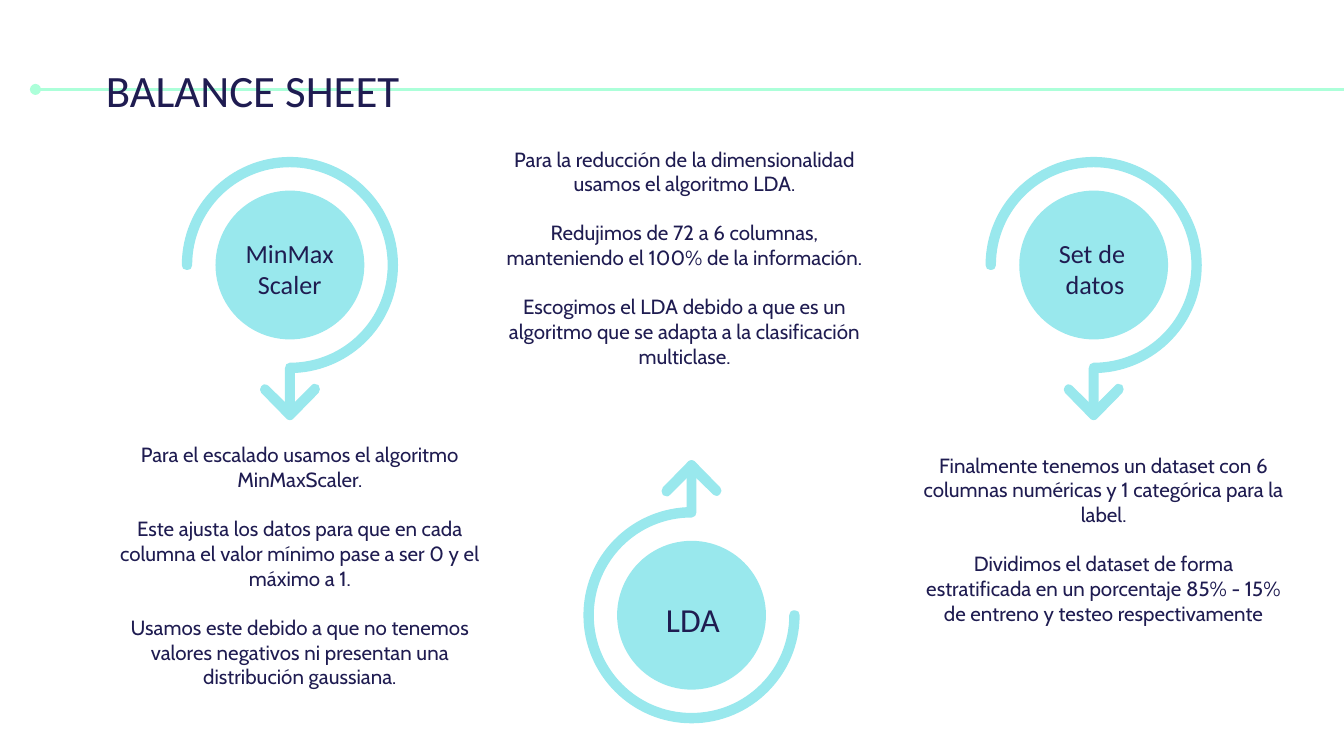
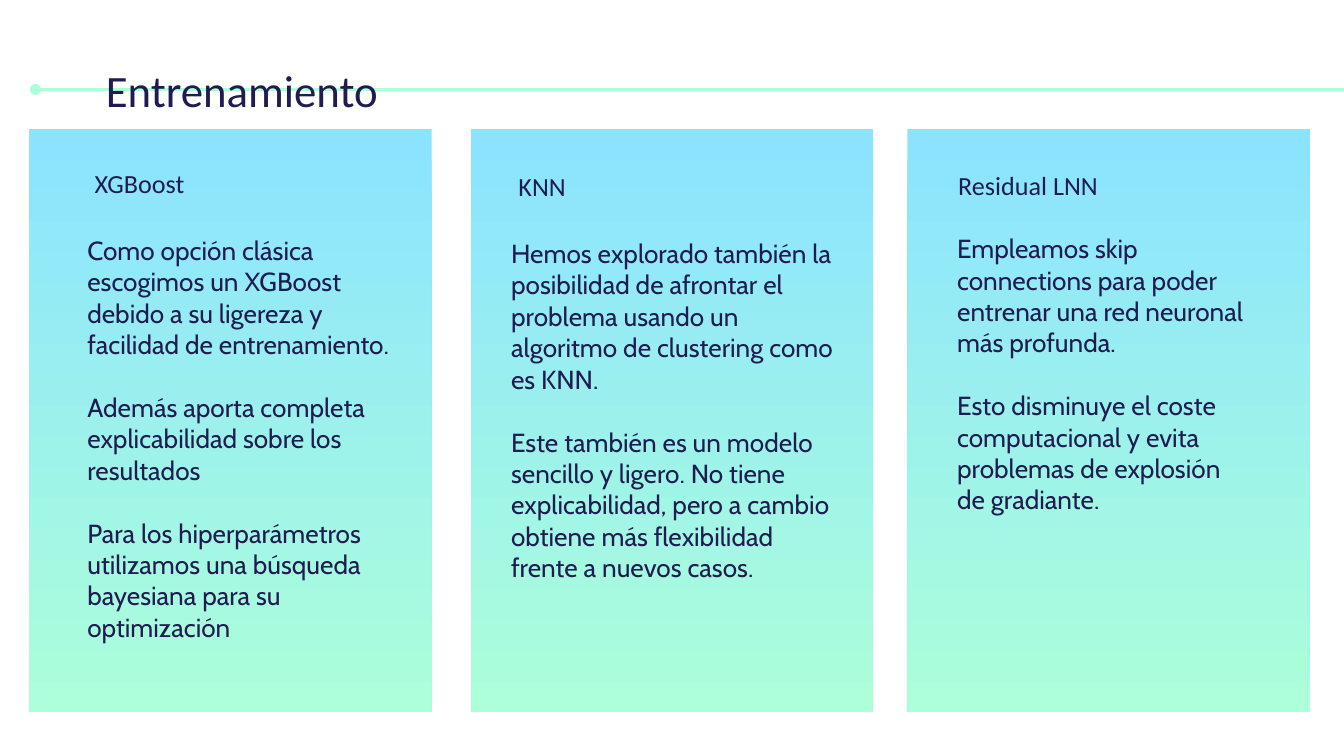
from dataclasses import dataclass

from lxml.etree import SubElement
from pptx import Presentation
from pptx.dml.color import RGBColor as RGB
from pptx.enum.shapes import MSO_CONNECTOR as CONNECTOR, MSO_SHAPE as SHAPE
from pptx.enum.text import MSO_ANCHOR as ANCHOR, MSO_AUTO_SIZE as AUTOSIZE, PP_ALIGN as ALIGN
from pptx.oxml.ns import qn
from pptx.util import Cm, Pt


@dataclass(frozen=True)
class Theme:
    ink: RGB = RGB.from_string("1F1C51")
    mint: RGB = RGB.from_string("ACFFD9")
    sky: RGB = RGB.from_string("8BE3FF")
    aqua: RGB = RGB.from_string("99E8ED")
    head_font: str = "Calibri"
    body_font: str = "Cabin"
    title: int = 24
    large: int = 18
    text: int = 14
    small: int = 11


T = Theme()
INSET = Cm(0.25)
INDENT = Cm(0.38)


def write(s, paras, box, *, sp=None, size=T.text, font=T.head_font,
          align=ALIGN.LEFT, gap=0, indent=0):
    """Fill sp, or a new text box, with paragraphs; box is in centimetres."""
    sp = sp or s.shapes.add_textbox(0, 0, 0, 0)
    sp.left, sp.top, sp.width, sp.height = map(Cm, box)
    tf = sp.text_frame
    tf.word_wrap = True
    tf.auto_size = AUTOSIZE.NONE
    tf.vertical_anchor = ANCHOR.TOP
    tf.margin_left = tf.margin_right = tf.margin_top = tf.margin_bottom = INSET
    for i, text in enumerate(paras):
        p = tf.add_paragraph() if i else tf.paragraphs[0]
        p.alignment = align
        p.line_spacing = 1.0
        p.space_before = Pt(gap if i else 0)
        p.space_after = Pt(0)
        pPr = p._p.get_or_add_pPr()
        pPr.set("marL", str(indent))
        pPr.set("indent", "0")
        SubElement(pPr, qn("a:buNone"))
        r = p.add_run()
        r.text = text
        r.font.size = Pt(size)
        r.font.name = font
        r.font.bold = False
        r.font.color.rgb = T.ink


def draw_curve(shapes, cx, cy, way, start, segments):
    """Closed outline around (cx, cy): one point is a line, three are a Bézier curve."""
    pts = [(Cm(cx + way * x), Cm(cy + way * y))
           for x, y in [start] + [pt for seg in segments for pt in seg]]
    pen = shapes.build_freeform(*pts[0])
    pen.add_line_segments(pts[1:], close=True)
    sp = pen.convert_to_shape()
    lines = iter(list(sp.element.iter(qn("a:lnTo"))))
    for seg in segments:
        first, *others = [next(lines) for _ in seg]
        if others:
            first.tag = qn("a:cubicBezTo")
        for line in others:
            first.append(line[0])
            line.getparent().remove(line)
    return sp


prs = Presentation()
prs.slide_width, prs.slide_height = Cm(25.4), Cm(14.29)
layout = prs.slide_layouts[1]
slides = []
for title in ("BALANCE SHEET", "Entrenamiento"):
    s = prs.slides.add_slide(layout)
    write(s, [title], (1.75, 0.94, 16.89, 1.5), sp=s.shapes.title, size=T.title)
    slides.append(s)
process, training = slides

# Title rule, shared through the layout
rule = process.shapes.add_connector(CONNECTOR.STRAIGHT, Cm(0.67), Cm(1.69), Cm(25.4), Cm(1.69))
rule.line.color.rgb = T.mint
rule.line.width = Pt(1.5)
spPr = rule.element.spPr
SubElement(spPr.find(qn("a:ln")), qn("a:headEnd"), type="oval")
SubElement(spPr, qn("a:effectLst"))
layout.element.cSld.spTree.append(rule.element)

# Badge outlines in centimetres around the centre of the disc, arrow down
DISC = 1.38
ring = ((0, -2.03), [
    [(-1.12, -2.03), (-2.03, -1.12), (-2.03, 0)],
    [(-2.03, 0.05), (-2, 0.08), (-1.95, 0.08)],
    [(-1.89, 0.08), (-1.86, 0.05), (-1.86, 0)],
    [(-1.86, -1.03), (-1.03, -1.86), (0, -1.86)],
    [(1.03, -1.86), (1.86, -1.03), (1.86, 0)],
    [(1.86, 1.03), (1.03, 1.86), (0, 1.86)],
    [(-0.05, 1.86), (-0.08, 1.9), (-0.08, 1.95)],
    [(-0.08, 2.72)], [(0.08, 2.72)], [(0.08, 2.03)],
    [(1.17, 1.98), (2.03, 1.09), (2.03, 0)],
    [(2.03, -1.12), (1.12, -2.03), (0, -2.03)]])
arrowhead = ((0.46, 2.26), [
    [(0.46, 2.26), (0.43, 2.26), (0.41, 2.29)],
    [(0.08, 2.62)], [(0, 2.69)], [(-0.08, 2.62)], [(-0.42, 2.29)],
    [(-0.43, 2.28), (-0.46, 2.27), (-0.48, 2.27)],
    [(-0.48, 2.27), (-0.51, 2.27), (-0.53, 2.3)],
    [(-0.56, 2.33), (-0.56, 2.38), (-0.53, 2.41)],
    [(-0.05, 2.9)],
    [(-0.05, 2.9), (-0.03, 2.92), (0, 2.92)],
    [(0.03, 2.92), (0.05, 2.9), (0.05, 2.9)],
    [(0.53, 2.41)],
    [(0.56, 2.38), (0.56, 2.32), (0.53, 2.28)],
    [(0.51, 2.26), (0.48, 2.26), (0.46, 2.26)]])

# Centre, direction, label, its size and position, text position, paragraphs
steps = [
    (5.48, 5.01, 1, ["MinMax", "Scaler"], T.text, (2.21, 4.23), (1.62, 8.11), [
        "Para el escalado usamos el algoritmo MinMaxScaler.",
        "Este ajusta los datos para que en cada columna el valor mínimo pase a ser 0 y el máximo a 1.",
        "Usamos este debido a que no tenemos valores negativos ni presentan una distribución gaussiana."]),
    (20.67, 5.01, 1, ["Set de ", "datos"], T.text, (17.43, 4.23), (16.81, 8.31), [
        "Finalmente tenemos un dataset con 6 columnas numéricas y 1 categórica para la label.",
        "Dividimos el dataset de forma estratificada en un porcentaje 85% - 15% de entreno y testeo "
        "respectivamente"]),
    (13.07, 11.63, -1, ["LDA"], T.large, (9.83, 11.07), (8.89, 2.52), [
        "Para la reducción de la dimensionalidad usamos el algoritmo LDA.",
        "Redujimos de 72 a 6 columnas, manteniendo el 100% de la información.",
        "Escogimos el LDA debido a que es un algoritmo que se adapta a la clasificación multiclase."]),
]
body = process.placeholders[1]
for cx, cy, way, label, size, label_at, text_at, paras in steps:
    badge = process.shapes.add_group_shape().shapes
    disc = badge.add_shape(SHAPE.OVAL, Cm(cx - DISC), Cm(cy - DISC), Cm(2 * DISC), Cm(2 * DISC))
    parts = [(disc, 1.5)]
    for outline in (ring, arrowhead):
        parts.append((draw_curve(badge, cx, cy, way, *outline), 0.75))
    for sp, width in parts:
        sp.shadow.inherit = False
        sp.fill.solid()
        sp.fill.fore_color.rgb = sp.line.color.rgb = T.aqua
        sp.line.width = Pt(width)
    write(process, paras, (*text_at, 7.72, 3.94), sp=body, size=T.small, font=T.body_font,
          align=ALIGN.CENTER, gap=13.2, indent=INDENT)
    write(process, label, (*label_at, 6.53, 1.04), size=size, align=ALIGN.CENTER)
    body = None

# Card left, heading and its box, text box, paragraphs
models = [
    (0.55, "XGBoost", (1.54, 2.91, 5.11, 0.97), (1.02, 4.18, 7.14, 8.99), [
        "Como opción clásica escogimos un XGBoost debido a su ligereza y facilidad de entrenamiento.",
        "Además aporta completa explicabilidad sobre los resultados",
        "Para los hiperparámetros utilizamos una búsqueda bayesiana para su optimización"]),
    (8.9, "KNN", (9.55, 2.97, 5.11, 0.97), (9.03, 4.24, 7.14, 8.99), [
        "Hemos explorado también la posibilidad de afrontar el problema usando un algoritmo de "
        "clustering como es KNN.",
        "Este también es un modelo sencillo y ligero. No tiene explicabilidad, pero a cambio obtiene "
        "más flexibilidad frente a nuevos casos."]),
    (17.15, "Residual LNN", (17.86, 2.95, 6.53, 1.04), (17.46, 4.15, 6.32, 7.52), [
        "Empleamos skip connections para poder entrenar una red neuronal más profunda.",
        "Esto disminuye el coste computacional y evita problemas de explosión de gradiante."]),
]
body = training.placeholders[1]
for left, heading, heading_box, text_box, paras in models:
    card = training.shapes.add_shape(SHAPE.RECTANGLE, Cm(left), Cm(2.44), Cm(7.61), Cm(11.02))
    card.shadow.inherit = False
    card.line.fill.background()
    card.fill.gradient()
    card.fill.gradient_angle = 270
    for stop, color, position in zip(card.fill.gradient_stops, (T.sky, T.mint), (0, 1)):
        stop.color.rgb = color
        stop.position = position
    training.element.cSld.spTree.insert(2, card.element)  # behind the placeholders
    write(training, paras, text_box, sp=body, font=T.body_font, gap=16.9, indent=INDENT)
    write(training, [heading], heading_box)
    body = None

prs.save("out.pptx")
